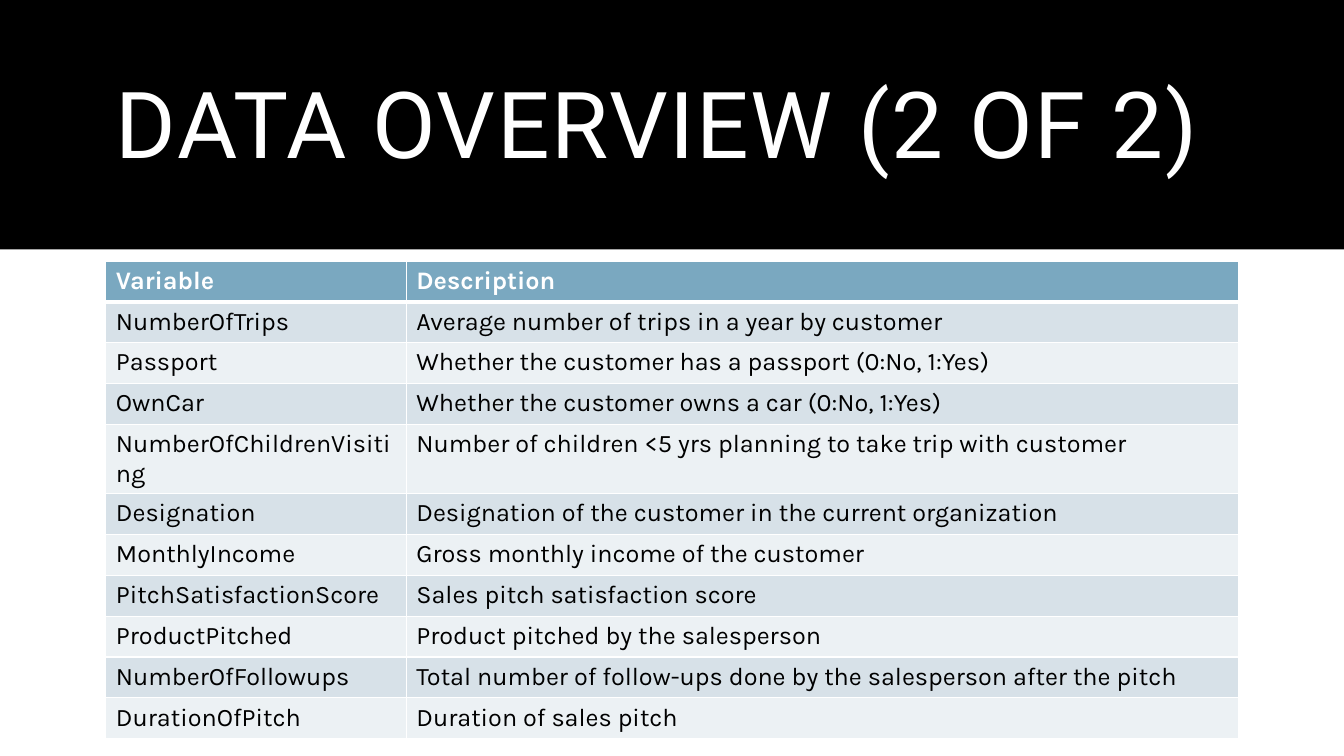
from dataclasses import dataclass

from lxml.etree import SubElement
from pptx import Presentation
from pptx.dml.color import RGBColor as Rgb
from pptx.enum.shapes import MSO_SHAPE as Preset
from pptx.enum.text import MSO_ANCHOR as Anchor, MSO_AUTO_SIZE as AutoSize, PP_ALIGN as Align
from pptx.oxml import parse_xml
from pptx.oxml.ns import nsdecls, qn
from pptx.util import Inches, Pt


@dataclass(frozen=True)
class Theme:
    black: str = "000000"
    white: str = "FFFFFF"
    header: str = "7AA8C0"
    stripes: tuple = ("D7E1E8", "ECF1F4")
    title_font: str = "Roboto"
    body_font: str = "Karla"
    title_size: int = 66
    body_size: int = 18
    tracking: int = 120
    rule: int = 1
    header_rule: int = 3


THEME = Theme()
WIDTH, HEIGHT = Inches(13.33), Inches(7.5)
MARGIN, CONTENT_WIDTH = Inches(1.05), Inches(11.23)
BAND_SHARE = 0.33
TABLE_TOP, TABLE_HEIGHT = Inches(2.59), Inches(4.46)
VARIABLE_WIDTH = Inches(2.98)

HEADINGS = ("Variable", "Description")
VARIABLES = (
    ("NumberOfTrips", "Average number of trips in a year by customer"),
    ("Passport", "Whether the customer has a passport (0:No, 1:Yes)"),
    ("OwnCar", "Whether the customer owns a car (0:No, 1:Yes)"),
    ("NumberOfChildrenVisiting",
     "Number of children <5 yrs planning to take trip with customer"),
    ("Designation", "Designation of the customer in the current organization"),
    ("MonthlyIncome", "Gross monthly income of the customer"),
    ("PitchSatisfactionScore", "Sales pitch satisfaction score"),
    ("ProductPitched", "Product pitched by the salesperson"),
    ("NumberOfFollowups",
     "Total number of follow-ups done by the salesperson after the pitch"),
    ("DurationOfPitch", "Duration of sales pitch"),
)


def set_attributes(target, values):
    for name, value in values.items():
        setattr(target, name, value)


def fill_solid(target, color):
    target.fill.solid()
    target.fill.fore_color.rgb = Rgb.from_string(color)


def write_run(paragraph, text, color, font_format):
    run = paragraph.add_run()
    run.text = text
    set_attributes(run.font, font_format)
    run.font.color.rgb = Rgb.from_string(color)
    return run


def add_title(slide, text):
    title = slide.shapes.title
    set_attributes(title, {"left": MARGIN, "top": Inches(0.35),
                           "width": CONTENT_WIDTH, "height": Inches(1.86)})
    set_attributes(title.text_frame, {"vertical_anchor": Anchor.MIDDLE, "word_wrap": True,
                                      "auto_size": AutoSize.NONE})
    paragraph = title.text_frame.paragraphs[0]
    set_attributes(paragraph, {"alignment": Align.LEFT, "line_spacing": 0.9})
    run = write_run(paragraph, text, THEME.white,
                    {"name": THEME.title_font, "size": Pt(THEME.title_size)})
    run.font._element.set("spc", str(THEME.tracking))
    return title


def add_band_behind(slide, title):
    band = slide.shapes.add_shape(Preset.RECTANGLE, 0, 0, WIDTH, int(HEIGHT * BAND_SHARE))
    band.shadow.inherit = False
    fill_solid(band, THEME.black)
    band.line.fill.background()
    title.element.addprevious(band.element)


def set_borders(cell, top, bottom):
    """Draw white cell borders; top and bottom are widths in points."""
    properties = cell._tc.get_or_add_tcPr()
    widths = {"lnL": THEME.rule, "lnR": THEME.rule, "lnT": top, "lnB": bottom}
    for position, (side, points) in enumerate(widths.items()):
        border = parse_xml(f'<a:{side} {nsdecls("a")} w="{Pt(points)}"/>')
        color = SubElement(SubElement(border, qn("a:solidFill")), qn("a:srgbClr"))
        color.set("val", THEME.white)
        properties.insert(position, border)


def add_variable_table(slide):
    rows = (HEADINGS, *VARIABLES)
    table = slide.shapes.add_table(len(rows), len(HEADINGS), MARGIN, TABLE_TOP,
                                   CONTENT_WIDTH, TABLE_HEIGHT).table
    for column, width in zip(table.columns, (VARIABLE_WIDTH, CONTENT_WIDTH - VARIABLE_WIDTH)):
        column.width = width
    for r, texts in enumerate(rows):
        is_header = r == 0
        fill = THEME.header if is_header else THEME.stripes[(r - 1) % 2]
        color = THEME.white if is_header else THEME.black
        top = THEME.header_rule if r == 1 else THEME.rule
        bottom = THEME.header_rule if is_header else THEME.rule
        for c, text in enumerate(texts):
            cell = table.cell(r, c)
            fill_solid(cell, fill)
            set_borders(cell, top, bottom)
            write_run(cell.text_frame.paragraphs[0], text, color,
                      {"name": THEME.body_font, "size": Pt(THEME.body_size),
                       "bold": is_header})


def main():
    deck = Presentation()
    set_attributes(deck, {"slide_width": WIDTH, "slide_height": HEIGHT})
    slide = deck.slides.add_slide(deck.slide_layouts.get_by_name("Title Only"))
    fill_solid(slide.background, THEME.white)
    title = add_title(slide, "DATA OVERVIEW (2 OF 2)")
    add_band_behind(slide, title)
    add_variable_table(slide)
    deck.save("out.pptx")


if __name__ == "__main__":
    main()
